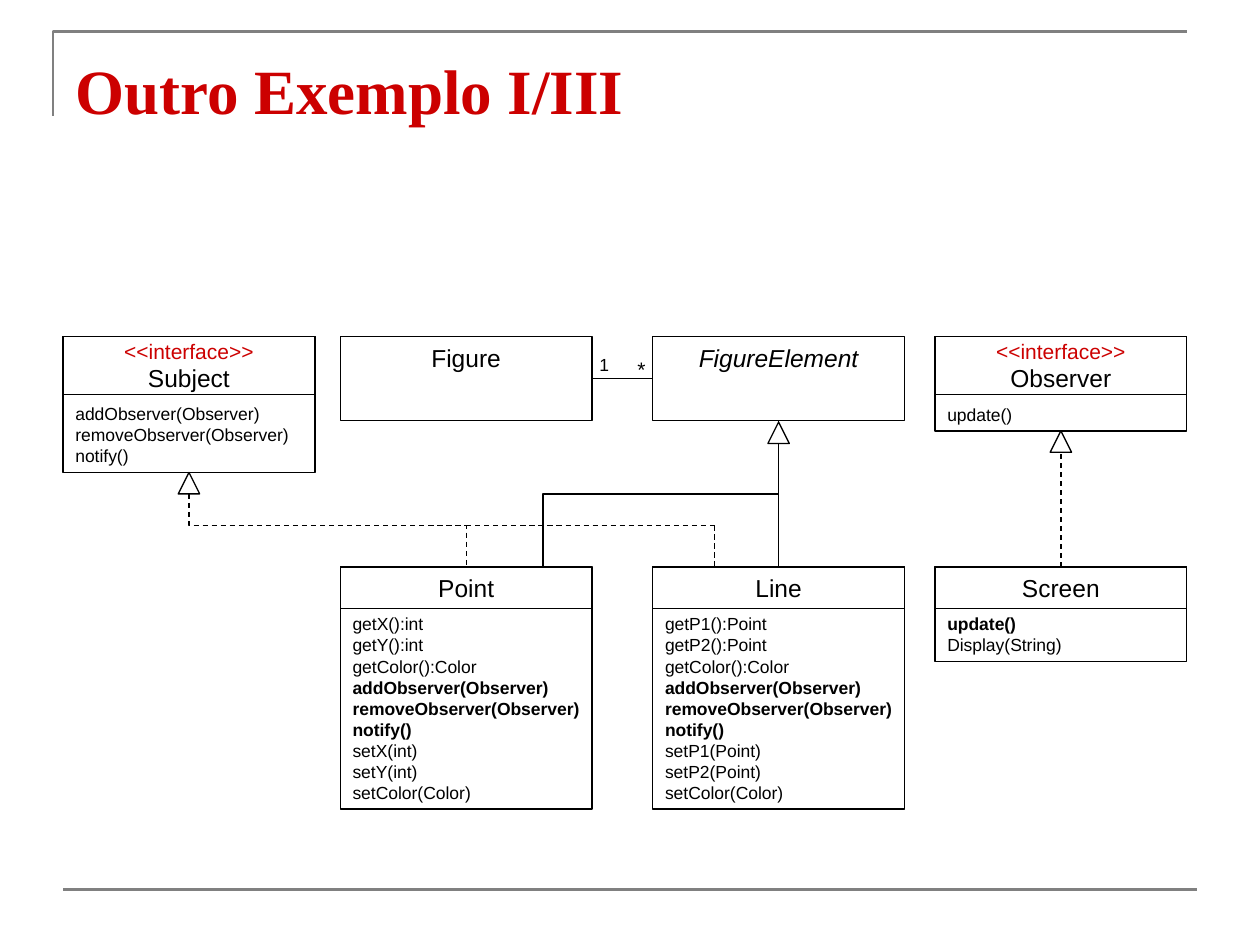
from lxml.etree import SubElement
from pptx import Presentation
from pptx.dml.color import RGBColor
from pptx.enum.dml import MSO_LINE_DASH_STYLE as DASH
from pptx.enum.shapes import MSO_CONNECTOR as CONN, MSO_SHAPE as SHAPE
from pptx.enum.text import MSO_ANCHOR as ANCHOR, PP_ALIGN as ALIGN
from pptx.oxml.ns import qn
from pptx.util import Inches, Pt

COLORS = {"text": "000000", "accent": "CC0000", "frame": "808080", "white": "FFFFFF"}

# Text formats
TITLE = {"name": "Times New Roman", "size": Pt(36), "bold": True, "color": "accent"}
NAME = {"name": "Arial", "size": Pt(14)}
ABSTRACT = {**NAME, "italic": True}
STEREOTYPE = {"name": "Arial", "size": Pt(12), "color": "accent"}
MEMBER = {"name": "Arial", "size": Pt(10)}
STRONG = {**MEMBER, "bold": True}
STAR = {"name": "Arial", "size": Pt(12)}

# Columns, rows and class box sizes
SUBJECT_X, POINT_X, LINE_X, SCREEN_X = 0.5, 2.7, 5.18, 7.42
TOP_Y, BOTTOM_Y, BUS_Y = 2.67, 4.5, 4.17
BOX_W, NAME_H, INTERFACE_H, PLAIN_H = 2, 0.33, 0.46, 0.67
ARROW = 0.17


def rgb(key):
    return RGBColor.from_string(COLORS[key])


def write(tf, lines, align=ALIGN.LEFT, anchor=ANCHOR.TOP):
    """Fill a text frame with (text, format) lines."""
    tf.word_wrap = False
    tf.vertical_anchor = anchor
    for i, (text, fmt) in enumerate(lines):
        p = tf.paragraphs[0] if i == 0 else tf.add_paragraph()
        p.alignment = align
        r = p.add_run()
        r.text = text
        r.font.color.rgb = rgb(fmt.get("color", "text"))
        for key, value in fmt.items():
            if key != "color":
                setattr(r.font, key, value)


def style_line(shape, color="text", width=0.75, dashed=False):
    shape.line.color.rgb = rgb(color)
    shape.line.width = Pt(width)
    if dashed:
        shape.line.dash_style = DASH.DASH


def add_label(s, x, y, w, h, text, fmt):
    tb = s.shapes.add_textbox(*map(Inches, (x, y, w, h)))
    write(tb.text_frame, [(text, fmt)])
    return tb


def add_box(s, x, y, h, lines, align=ALIGN.CENTER, anchor=ANCHOR.MIDDLE):
    sp = s.shapes.add_shape(SHAPE.RECTANGLE, *map(Inches, (x, y, BOX_W, h)))
    sp.shadow.inherit = False
    sp.fill.background()
    style_line(sp)
    write(sp.text_frame, lines, align, anchor)
    return sp


def add_class(s, x, y, h, name, members, name_h=NAME_H):
    """Draw the member box with its name compartment on top; return the latter."""
    add_box(s, x, y, h, members, ALIGN.LEFT, ANCHOR.BOTTOM)
    return add_box(s, x, y, name_h, name)


def add_interface(s, x, h, name, methods):
    add_class(s, x, TOP_Y, h, [("<<interface>>", STEREOTYPE), (name, NAME)],
              [(m, MEMBER) for m in methods], INTERFACE_H)


def add_figure_class(s, x, name, getters, setters):
    """Draw an observable class, its inherited methods in bold."""
    inherited = ["addObserver(Observer)", "removeObserver(Observer)", "notify()"]
    members = ([(m, MEMBER) for m in getters + ["getColor():Color"]]
               + [(m, STRONG) for m in inherited]
               + [(m, MEMBER) for m in setters + ["setColor(Color)"]])
    return add_class(s, x, BOTTOM_Y, 1.92, [(name, NAME)], members)


def add_arrowhead(s, center_x, y):
    sp = s.shapes.add_shape(SHAPE.ISOSCELES_TRIANGLE,
                            *map(Inches, (center_x - ARROW / 2, y, ARROW, ARROW)))
    sp.shadow.inherit = False
    sp.fill.solid()
    sp.fill.fore_color.rgb = rgb("white")
    style_line(sp)


def add_line(s, x1, y1, x2, y2, kind=CONN.STRAIGHT, **style):
    c = s.shapes.add_connector(kind, *map(Inches, (x1, y1, x2, y2)))
    style_line(c, **style)
    SubElement(c._element.spPr, qn("a:effectLst"))
    return c


def add_elbow(s, x1, y1, x2, y2, bend_y, **style):
    """Run down from the start, across at bend_y, then down to the end."""
    mid_x, mid_y = (x1 + x2) / 2, (y1 + y2) / 2
    half_w, half_h = (y2 - y1) / 2, abs(x2 - x1) / 2
    rightward = x2 > x1
    if rightward:
        half_w = -half_w
    c = add_line(s, mid_x - half_w, mid_y - half_h, mid_x + half_w, mid_y + half_h,
                 CONN.ELBOW, **style)
    sp_pr = c._element.spPr
    sp_pr.find(qn("a:xfrm")).set("rot", str((270 if rightward else 90) * 60000))
    geom = sp_pr.find(qn("a:prstGeom"))
    guides = geom.find(qn("a:avLst"))
    if guides is None:
        guides = SubElement(geom, qn("a:avLst"))
    share = round((bend_y - y1) / (y2 - y1) * 100000)
    SubElement(guides, qn("a:gd"), name="adj1", fmla=f"val {share}")


def add_frame(s):
    fb = s.shapes.build_freeform(Inches(0.42), Inches(0.92))
    fb.add_line_segments([(Inches(0.42), Inches(0.25)), (Inches(9.42), Inches(0.25))],
                         close=False)
    corner = fb.convert_to_shape()
    corner.shadow.inherit = False
    corner.fill.background()
    style_line(corner, "frame", 1.5)
    add_line(s, 0.5, 7.06, 9.5, 7.06, color="frame", width=1.5)


def main():
    prs = Presentation()
    prs.slide_width, prs.slide_height = Inches(10), Inches(7.5)
    s = prs.slides.add_slide(prs.slide_layouts[6])

    # Frame and title
    add_frame(s)
    title = add_label(s, 0.5, 0.3, 9, 1.24, "Outro Exemplo I/III", TITLE)
    title.text_frame.word_wrap = True
    title.text_frame.margin_top = Inches(0.11)

    # Figures
    add_figure_class(s, POINT_X, "Point", ["getX():int", "getY():int"],
                     ["setX(int)", "setY(int)"])
    line_class = add_figure_class(s, LINE_X, "Line", ["getP1():Point", "getP2():Point"],
                                  ["setP1(Point)", "setP2(Point)"])
    element, figure = [
        add_box(s, x, TOP_Y, PLAIN_H, [(name, fmt)], anchor=ANCHOR.TOP)
        for x, name, fmt in ((LINE_X, "FigureElement", ABSTRACT), (POINT_X, "Figure", NAME))]

    # Figure holds many elements
    link = add_line(s, POINT_X + BOX_W, 3, LINE_X, 3)
    link.begin_connect(figure, 3)
    link.end_connect(element, 1)
    add_label(s, 4.66, 2.76, 0.27, 0.27, "1", MEMBER)
    add_label(s, 4.96, 2.78, 0.26, 0.3, "*", STAR)

    # Observer side
    screen = add_class(s, SCREEN_X, BOTTOM_Y, 0.75, [("Screen", NAME)],
                       [("update()", STRONG), ("Display(String)", MEMBER)])
    add_interface(s, SCREEN_X, 0.75, "Observer", ["update()"])
    observer_mid = SCREEN_X + BOX_W / 2
    realize = add_line(s, observer_mid, BOTTOM_Y, observer_mid, 3.58, dashed=True)
    realize.begin_connect(screen, 0)
    add_arrowhead(s, observer_mid, 3.42)

    # Subject side: Point and Line realize it
    add_interface(s, SUBJECT_X, 1.08, "Subject",
                  ["addObserver(Observer)", "removeObserver(Observer)", "notify()"])
    subject_mid, point_mid = SUBJECT_X + BOX_W / 2, POINT_X + BOX_W / 2
    add_arrowhead(s, subject_mid, 3.75)
    add_elbow(s, subject_mid, 3.92, point_mid, BOTTOM_Y, BUS_Y, dashed=True)
    add_line(s, point_mid, BUS_Y, 5.67, BUS_Y, dashed=True)
    add_line(s, 5.67, BUS_Y, 5.67, BOTTOM_Y, dashed=True)

    # Point and Line inherit from FigureElement
    element_mid = LINE_X + BOX_W / 2
    inherit = add_line(s, element_mid, BOTTOM_Y, element_mid, TOP_Y + PLAIN_H)
    inherit.begin_connect(line_class, 0)
    inherit.end_connect(element, 2)
    add_elbow(s, element_mid, TOP_Y + PLAIN_H, 4.31, BOTTOM_Y, 3.92)
    add_arrowhead(s, element_mid, 3.35)

    prs.save("out.pptx")


if __name__ == "__main__":
    main()
